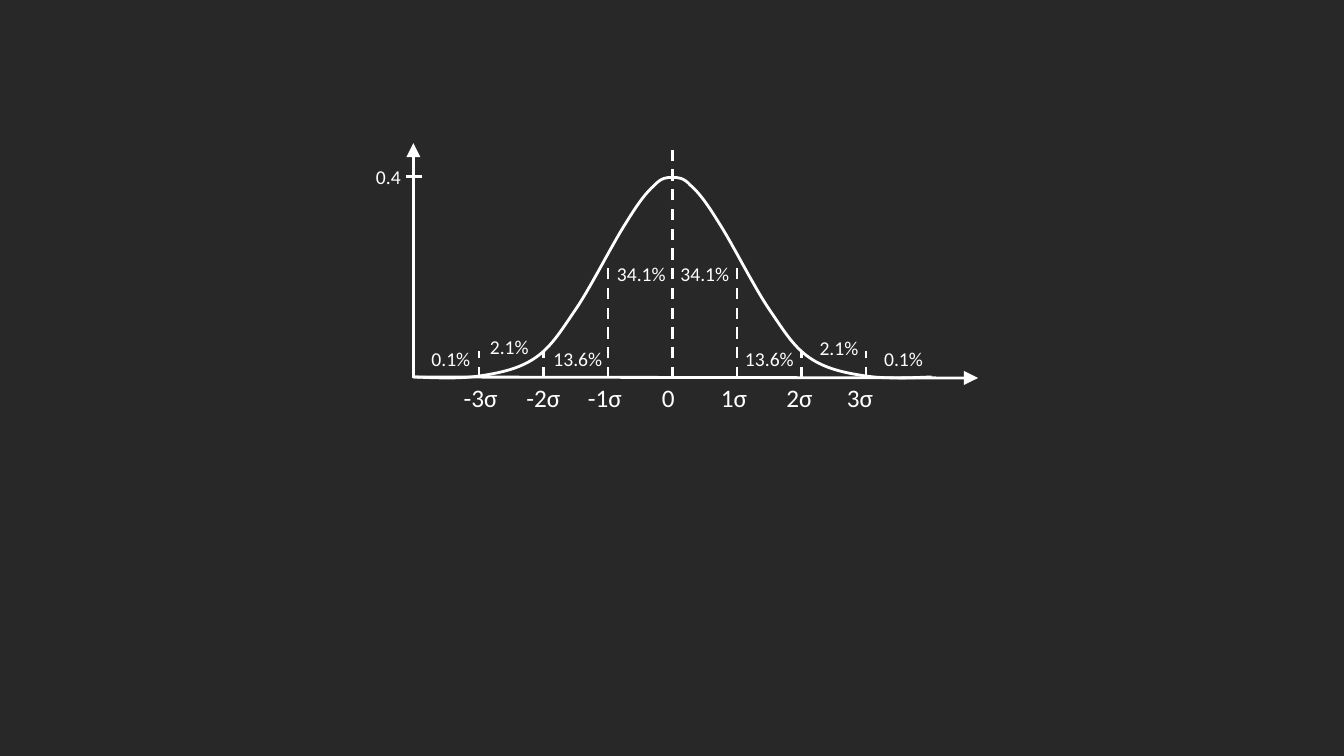
from lxml import etree
from pptx import Presentation
from pptx.dml.color import RGBColor
from pptx.enum.dml import MSO_LINE_DASH_STYLE as DASH
from pptx.enum.shapes import MSO_CONNECTOR as CONN
from pptx.enum.text import MSO_AUTO_SIZE as AUTO, PP_ALIGN as ALIGN
from pptx.oxml.ns import qn
from pptx.util import Inches, Pt

THEME = {
    "background": RGBColor.from_string("282828"),
    "ink": RGBColor.from_string("FFFFFF"),
    "font": "Calibri",
    "axis_size": 18,
    "label_size": 14,
    "line_width": 2,
}

SIGMAS = ["-3σ", "-2σ", "-1σ", "0", "1σ", "2σ", "3σ"]
SIGMA_TABS = [0.79, 1.4, 2.03, 2.68, 3.33, 3.93]
LABELS = [
    ("34.1%", 6.02, 2.55, 0.69), ("34.1%", 6.65, 2.55, 0.69),
    ("13.6%", 5.39, 3.39, 0.69), ("13.6%", 7.29, 3.39, 0.69),
    ("2.1%", 4.76, 3.27, 0.59), ("2.1%", 8.03, 3.28, 0.59),
    ("0.1%", 4.18, 3.39, 0.59), ("0.1%", 8.67, 3.39, 0.59),
    ("0.4", 3.63, 1.59, 0.45),
]
CURVE = [
    (4.1, 3.74),
    (4.33, 3.75), (4.56, 3.76), (4.76, 3.73),
    (4.96, 3.7), (5.15, 3.66), (5.31, 3.55),
    (5.47, 3.44), (5.56, 3.29), (5.71, 3.07),
    (5.86, 2.85), (6.08, 2.41), (6.21, 2.21),
    (6.34, 2), (6.41, 1.91), (6.49, 1.84),
    (6.56, 1.76), (6.62, 1.76), (6.67, 1.76),
]
MEAN_X, SIGMA_WIDTH = 6.67, 0.64
BASE_Y = 3.75
DIVIDER_TOPS = [1.42, 2.58, 3.48, 3.48]


def add_text(shapes, text, *, left, top, width, height, size, tabs=()):
    box = shapes.add_textbox(*map(Inches, (left, top, width, height)))
    tf = box.text_frame
    tf.word_wrap = bool(tabs)
    tf.auto_size = AUTO.SHAPE_TO_FIT_TEXT
    p = tf.paragraphs[0]
    p.alignment = ALIGN.LEFT
    if tabs:
        tab_list = etree.SubElement(p._p.get_or_add_pPr(), qn("a:tabLst"))
        for tab in tabs:
            etree.SubElement(tab_list, qn("a:tab"), pos=str(Inches(tab)), algn="ctr")
    r = p.add_run()
    r.text = text
    r.font.size = Pt(size)
    r.font.name = THEME["font"]
    r.font.color.rgb = THEME["ink"]


def style_line(line):
    line.color.rgb = THEME["ink"]
    line.width = Pt(THEME["line_width"])


def add_line(shapes, start, end, dashed=False, arrow=False):
    sp = shapes.add_connector(CONN.STRAIGHT, *map(Inches, (*start, *end)))
    style_line(sp.line)
    if dashed:
        sp.line.dash_style = DASH.DASH
    if arrow:
        ln = sp.line._get_or_add_ln()
        etree.SubElement(ln, qn("a:tailEnd"), type="triangle", w="lg", len="lg")
    etree.SubElement(sp._element.spPr, qn("a:effectLst"))


def add_curve(shapes, points):
    (x, y), *rest = [(Inches(x), Inches(y)) for x, y in points]
    builder = shapes.build_freeform(x, y)
    builder.add_line_segments(rest, close=False)
    sp = builder.convert_to_shape()
    outline = next(sp._element.iter(qn("a:path")))
    steps = outline.findall(qn("a:lnTo"))
    for n in range(0, len(steps), 3):
        cubic = etree.SubElement(outline, qn("a:cubicBezTo"))
        for step in steps[n:n + 3]:
            cubic.append(step[0])
            outline.remove(step)
    sp.fill.background()
    sp.shadow.inherit = False
    style_line(sp.line)


def main():
    prs = Presentation()
    prs.slide_width, prs.slide_height = Inches(13.33), Inches(7.5)
    s = prs.slides.add_slide(prs.slide_layouts[6])
    s.background.fill.solid()
    s.background.fill.fore_color.rgb = THEME["background"]

    mirrored = [(2 * MEAN_X - x, y) for x, y in CURVE]
    bell = s.shapes.add_group_shape()
    for half in (CURVE, mirrored):
        add_curve(bell.shapes, half)

    add_line(s.shapes, (4.1, BASE_Y), (4.1, 1.42), arrow=True)
    add_line(s.shapes, (4.1, 3.74), (9.7, BASE_Y), arrow=True)
    for distance, top in enumerate(DIVIDER_TOPS):
        for side in sorted({-distance, distance}):
            x = MEAN_X + side * SIGMA_WIDTH
            add_line(s.shapes, (x, BASE_Y), (x, top), dashed=True)

    add_text(s.shapes, "\t".join(SIGMAS), left=4.5, top=3.74, width=4.51,
             height=0.4, size=THEME["axis_size"], tabs=SIGMA_TABS)
    for text, left, top, width in LABELS:
        add_text(s.shapes, text, left=left, top=top, width=width,
                 height=0.34, size=THEME["label_size"])
    add_line(s.shapes, (4.19, 1.75), (4.03, 1.75))

    prs.save("out.pptx")


if __name__ == "__main__":
    main()
